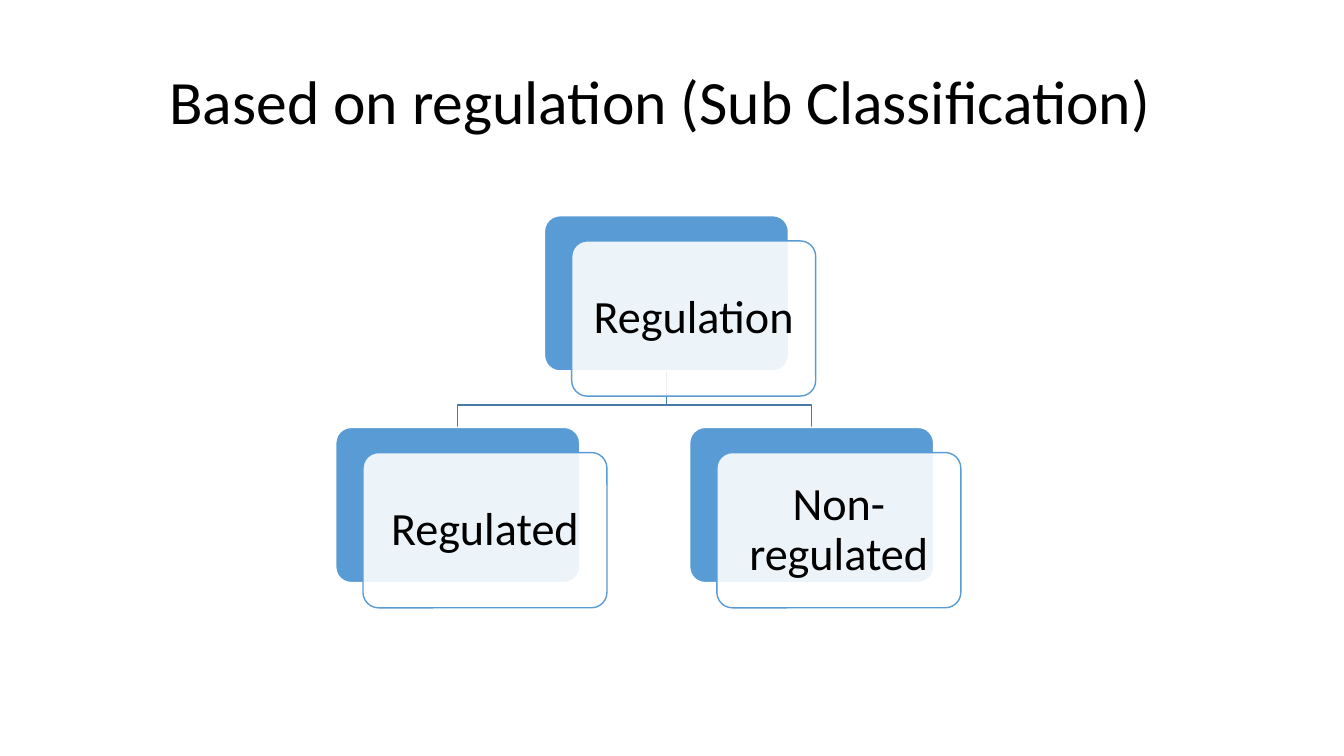
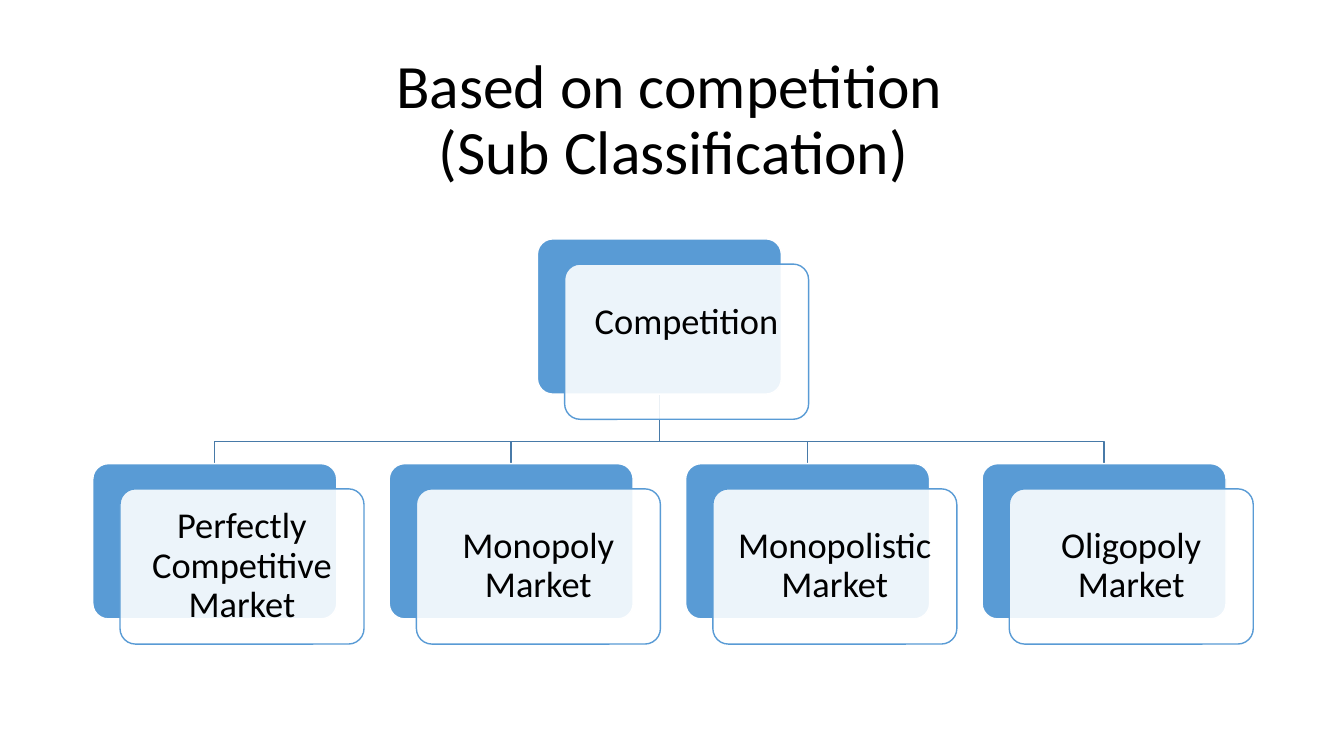
import lxml.etree
import pptx
import pptx.dml.color
import pptx.enum.shapes
import pptx.enum.text
import pptx.oxml.ns
import pptx.util

Inches = pptx.util.Inches
Pt = pptx.util.Pt
RGBColor = pptx.dml.color.RGBColor
ALIGN = pptx.enum.text.PP_ALIGN
ANCHOR = pptx.enum.text.MSO_ANCHOR

BLACK = RGBColor(0x00, 0x00, 0x00)
WHITE = RGBColor(0xFF, 0xFF, 0xFF)
BLUE = RGBColor(0x59, 0x9B, 0xD5)
DARK_BLUE = RGBColor(0x48, 0x7A, 0xA8)
FONT = "Calibri"

CARD_W, CARD_H = 2.42, 1.54
OFFSET_X, OFFSET_Y = 0.27, 0.25
JOINT_GAP = 0.22
TITLE_LAYOUT = 5


def write(tf, lines, size, align=ALIGN.LEFT, indents=None, inset=(0.1, 0.05, 0.1, 0.05)):
    """Fill a text frame with one paragraph per line; indents and insets are in inches."""
    tf.word_wrap = True
    tf.auto_size = pptx.enum.text.MSO_AUTO_SIZE.NONE
    tf.vertical_anchor = ANCHOR.MIDDLE
    tf.margin_left, tf.margin_top, tf.margin_right, tf.margin_bottom = map(Inches, inset)
    for i, line in enumerate(lines):
        p = tf.paragraphs[0] if i == 0 else tf.add_paragraph()
        p.alignment = align
        p.line_spacing = 0.9
        if indents:
            p._p.get_or_add_pPr().set("marL", str(Inches(indents[i])))
        r = p.add_run()
        r.text = line
        r.font.name = FONT
        r.font.size = Pt(size)
        r.font.color.rgb = BLACK


class Deck:
    def __init__(self):
        self.prs = pptx.Presentation()
        self.prs.slide_width = Inches(13.33)
        self.prs.slide_height = Inches(7.5)
        self.slide = None

    def new_slide(self, lines, left, top, indents=None):
        self.slide = self.prs.slides.add_slide(self.prs.slide_layouts[TITLE_LAYOUT])
        title = self.slide.shapes.title
        title.left, title.top = Inches(left), Inches(top)
        title.width, title.height = Inches(11.5), Inches(1.45)
        write(title.text_frame, lines, 44, indents=indents)

    def box(self, x, y, fill, line, opacity=100):
        sp = self.slide.shapes.add_shape(
            pptx.enum.shapes.MSO_SHAPE.ROUNDED_RECTANGLE,
            Inches(x), Inches(y), Inches(CARD_W), Inches(CARD_H))
        sp.adjustments[0] = 0.1
        sp.shadow.inherit = False
        sp.fill.solid()
        sp.fill.fore_color.rgb = fill
        sp.line.color.rgb = line
        sp.line.width = Pt(1)
        if opacity < 100:
            qn = pptx.oxml.ns.qn
            color = sp._element.spPr.find(qn("a:solidFill")).find(qn("a:srgbClr"))
            lxml.etree.SubElement(color, qn("a:alpha")).set("val", str(opacity * 1000))
        return sp

    def card(self, x, y, lines, size, inset, lift=0):
        """Draw a blue box with a translucent label in front; lift raises the text."""
        self.box(x, y, BLUE, WHITE)
        front = self.box(x + OFFSET_X, y + OFFSET_Y, WHITE, BLUE, opacity=89)
        write(front.text_frame, lines, size, align=ALIGN.CENTER,
              inset=(inset, inset, inset, inset + 2 * lift))

    def branch(self, root, child):
        """Join the bottom of the root card to the top of a child card."""
        x1, y1 = root[0] + CARD_W / 2, root[1] + CARD_H
        x2, y2 = child[0] + CARD_W / 2, child[1]
        joint = y2 - JOINT_GAP
        fb = self.slide.shapes.build_freeform(Inches(x1), Inches(y1))
        points = [(x1, joint), (x2, joint), (x2, y2)]
        fb.add_line_segments([(Inches(x), Inches(y)) for x, y in points], close=False)
        sp = fb.convert_to_shape()
        sp.shadow.inherit = False
        sp.fill.background()
        sp.line.color.rgb = DARK_BLUE
        sp.line.width = Pt(1)

    def tree(self, root, root_lines, first, pitch, children, size, inset, root_lift=0):
        """Draw a root card over a row of child cards spaced by pitch."""
        spots = [(first[0] + i * pitch, first[1]) for i in range(len(children))]
        for spot in reversed(spots):
            self.branch(root, spot)
        self.card(*root, root_lines, size, inset, lift=root_lift)
        for spot, lines in zip(spots, children):
            self.card(*spot, lines, size, inset)


def main():
    deck = Deck()

    deck.new_slide(["Based on regulation (Sub Classification)"], 1.58, 0.31)
    deck.tree((5.4, 2.14), ["Regulation"], (3.33, 4.24), 3.51,
              [["Regulated"], ["Non-", "regulated"]], size=33, inset=0.14)

    deck.new_slide(["Based on competition", "(Sub Classification)"], 1.83, 0.48,
                   indents=[2, 2.42])
    deck.tree((5.33, 2.37), ["Competition"], (0.92, 4.6), 2.94,
              [["Perfectly Competitive Market"], ["Monopoly Market"],
               ["Monopolistic Market"], ["Oligopoly Market"]],
              size=26, inset=0.11, root_lift=0.19)

    deck.prs.save("out.pptx")


if __name__ == "__main__":
    main()
